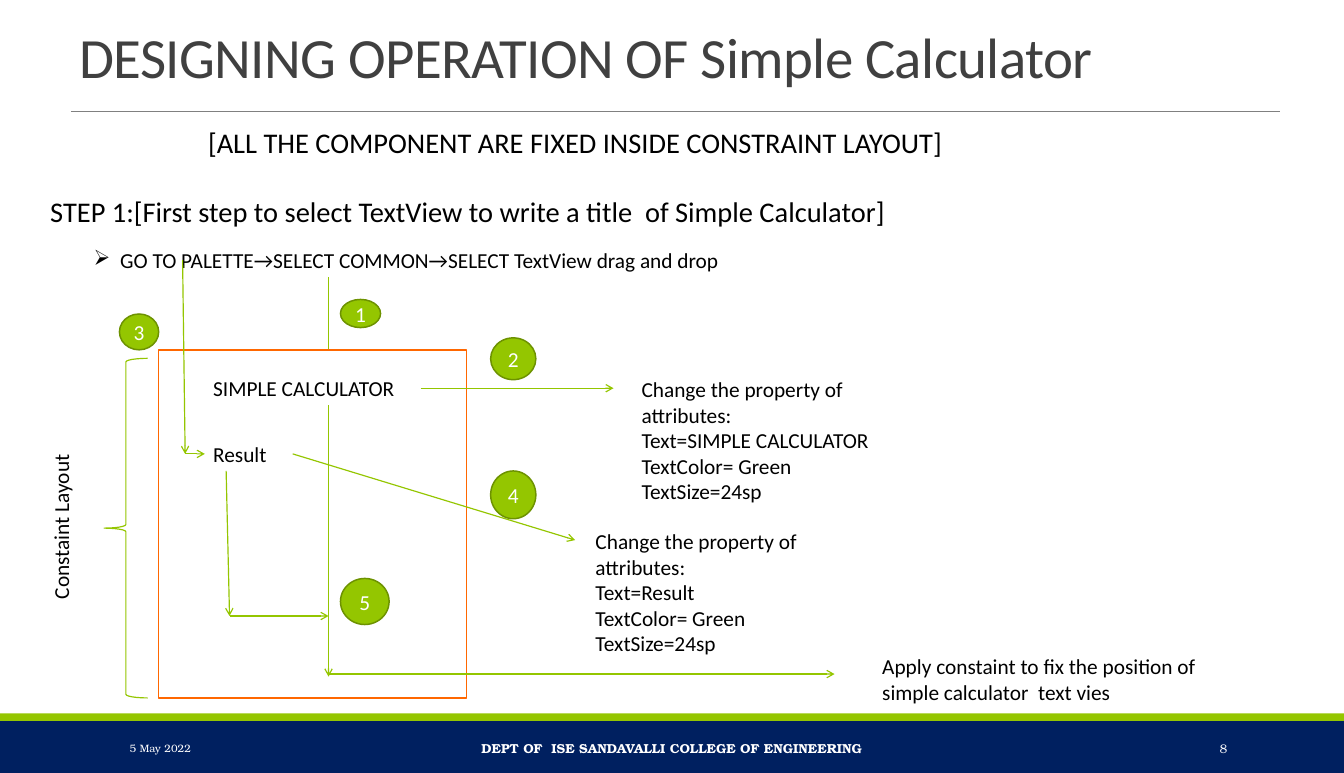
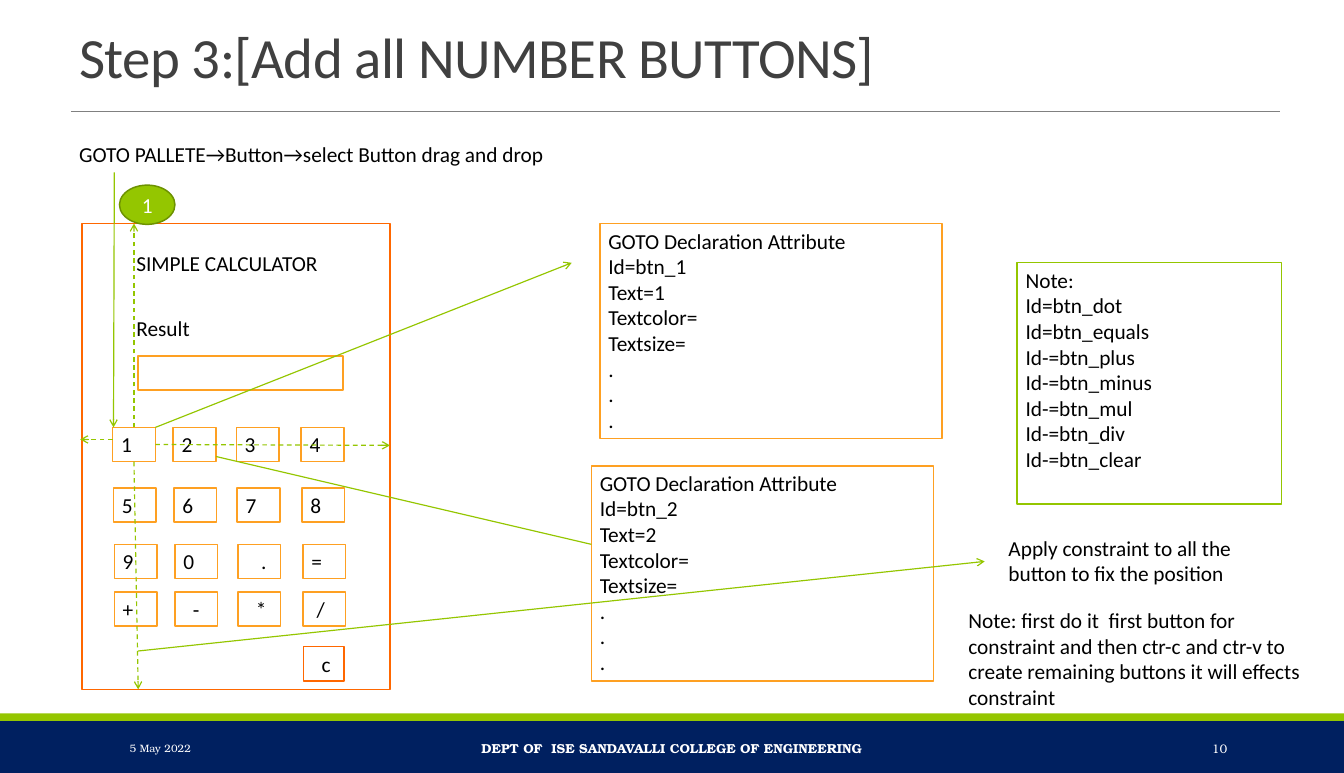
from lxml.etree import SubElement
from pptx import Presentation
from pptx.dml.color import RGBColor
from pptx.enum.dml import MSO_LINE
from pptx.enum.shapes import MSO_CONNECTOR, MSO_SHAPE
from pptx.enum.text import MSO_ANCHOR, PP_ALIGN
from pptx.oxml.ns import qn
from pptx.util import Pt

PX = 9144  # 100 px to the inch
WIDTH, HEIGHT = 1575, 906
BODY_FONT, FOOTER_FONT = "Calibri", "TeX Gyre Bonum"
COLORS = {
    "navy": "002060", "green": "94C600", "dark green": "6D9200", "gray": "808080",
    "title": "404040", "black": "000000", "white": "FFFFFF",
    "orange": "FF6700", "amber": "FEA022",
}


def add_text(slide, box, text="", shape=None, fill=None, outline=None, size=18,
             color="black", font=BODY_FONT, bold=False, align=PP_ALIGN.LEFT,
             anchor=MSO_ANCHOR.TOP, wrap=True, indent=0, line_spacing=None,
             tracking=None, bullet=None, vert=None):
    """Add a text box, or a preset shape with text; each line is a paragraph."""
    place = [n * PX for n in box]
    if shape is None:
        item = slide.shapes.add_textbox(*place)
    else:
        item = slide.shapes.add_shape(shape, *place)
        item.shadow.inherit = False
    if fill:
        item.fill.solid()
        item.fill.fore_color.rgb = RGBColor.from_string(COLORS[fill])
    else:
        item.fill.background()
    if outline:
        line_color, line_width = outline
        item.line.color.rgb = RGBColor.from_string(COLORS[line_color])
        item.line.width = Pt(line_width)
    else:
        item.line.fill.background()
    if not text:
        return item

    frame = item.text_frame
    frame.word_wrap = wrap
    frame.vertical_anchor = anchor
    frame.margin_left = (10 + indent) * PX
    if vert:
        frame._txBody.bodyPr.set("vert", vert)
    frame.text = text
    for paragraph in frame.paragraphs:
        paragraph.alignment = align
        if line_spacing:
            paragraph.line_spacing = line_spacing
        if bullet:
            properties = paragraph._p.get_or_add_pPr()
            properties.set("marL", str(31 * PX))
            properties.set("indent", str(-31 * PX))
            SubElement(properties, qn("a:buChar")).set("char", bullet)
        for run in paragraph.runs:
            run.font.name, run.font.size, run.font.bold = font, Pt(size), bold
            run.font.color.rgb = RGBColor.from_string(COLORS[color])
            if tracking:
                run._r.get_or_add_rPr().set("spc", str(tracking))
    return item


def add_line(slide, start, end, color="green", width=1, arrow=True, dash=False,
             begin_at=None, end_at=None):
    """Draw a straight line; begin_at and end_at are (shape, side) to join."""
    line = slide.shapes.add_connector(
        MSO_CONNECTOR.STRAIGHT, *[n * PX for n in (*start, *end)])
    if begin_at:
        line.begin_connect(*begin_at)
    if end_at:
        line.end_connect(*end_at)
    line.line.color.rgb = RGBColor.from_string(COLORS[color])
    line.line.width = Pt(width)
    if dash:
        line.line.dash_style = MSO_LINE.DASH
    if arrow:
        SubElement(line.line._get_or_add_ln(), qn("a:tailEnd")).set("type", "arrow")
    SubElement(line._element.spPr, qn("a:effectLst"))


prs = Presentation()
prs.slide_width, prs.slide_height = WIDTH * PX, HEIGHT * PX

# Shared looks
BADGE = dict(shape=MSO_SHAPE.OVAL, fill="green", outline=("dark green", 1.25),
             color="white", align=PP_ALIGN.CENTER, anchor=MSO_ANCHOR.MIDDLE, wrap=False)
SCREEN = dict(shape=MSO_SHAPE.RECTANGLE, fill="white", outline=("orange", 1.25))
PANEL = dict(SCREEN, outline=("amber", 1.25))
FOOTER = dict(font=FOOTER_FONT, color="white", anchor=MSO_ANCHOR.MIDDLE)

# Bands, title rule, footer and title on both slides
slides = []
for title, number in [("DESIGNING OPERATION OF Simple Calculator", "8"),
                      ("Step 3:[Add all NUMBER BUTTONS]", "10")]:
    slide = prs.slides.add_slide(prs.slide_layouts[6])
    add_text(slide, (0, 845, WIDTH, 61), shape=MSO_SHAPE.RECTANGLE, fill="navy")
    add_text(slide, (0, 836, WIDTH, 9), shape=MSO_SHAPE.RECTANGLE, fill="green")
    add_line(slide, (83, 131), (1500, 131), color="gray", width=0.5, arrow=False)
    add_text(slide, (142, 853, 319, 48), "5 May 2022", size=9, **FOOTER)
    add_text(slide, (476, 853, 623, 48), "DEPT OF  ISE SANDAVALLI COLLEGE OF ENGINEERING",
             size=11, bold=True, align=PP_ALIGN.CENTER, **FOOTER)
    add_text(slide, (1279, 853, 169, 48), number, size=10.5, align=PP_ALIGN.RIGHT, **FOOTER)
    add_text(slide, (83, 15, 1249, 95), title, size=48, color="title",
             anchor=MSO_ANCHOR.BOTTOM, line_spacing=0.85, tracking=-50)
    slides.append(slide)
design, buttons = slides

# Design slide: headings
add_text(design, (76, 142, 1196, 50),
         "[ALL THE COMPONENT ARE FIXED INSIDE CONSTRAINT LAYOUT]",
         size=24, align=PP_ALIGN.CENTER)
add_text(design, (49, 222, 1318, 50),
         "STEP 1:[First step to select TextView to write a title  of Simple Calculator]", size=24)
add_text(design, (100, 285, 907, 40),
         "GO TO PALETTE→SELECT COMMON→SELECT TextView drag and drop", bullet="➢")

# Design slide: calculator screen, over the arrow that drops into it
add_line(design, (385, 325), (385, 444))
add_text(design, (186, 410, 361, 408), **SCREEN)
screen_title = add_text(design, (240, 435, 253, 40), "SIMPLE CALCULATOR")
result = add_text(design, (240, 512, 206, 40), "Result")
add_text(design, (122, 420, 51, 398), shape=MSO_SHAPE.LEFT_BRACE, outline=("green", 1))
add_text(design, (51, 483, 50, 229), "Constaint Layout", vert="vert270")

# Design slide: arrows
add_line(design, (493, 455), (719, 455), begin_at=(screen_title, 3))
add_line(design, (217, 532), (240, 532), end_at=(result, 1))
for start, end in [((214, 305), (217, 532)), ((343, 532), (674, 633)),
                   ((385, 475), (385, 793)), ((385, 790), (978, 790)),
                   ((265, 552), (269, 722)), ((269, 722), (385, 722))]:
    add_line(design, start, end)

# Design slide: step numbers
for step, box in enumerate([(399, 351, 47, 33), (575, 396, 53, 49), (140, 368, 46, 42),
                            (575, 552, 53, 56), (399, 678, 57, 54)], start=1):
    add_text(design, box, str(step), **BADGE)

# Design slide: what each step sets
for left, top, label in [(742, 436, "SIMPLE CALCULATOR"), (688, 614, "Result")]:
    add_text(design, (left, top, 336, 162),
             f"Change the property of attributes:\nText={label}\nTextColor= Green\nTextSize=24sp")
add_text(design, (1024, 761, 453, 71),
         "Apply constaint to fix the position of simple calculator  text vies")

# Buttons slide: calculator screen
add_text(buttons, (83, 161, 1174, 40), "GOTO PALLETE→Button→select Button drag and drop")
add_text(buttons, (96, 262, 361, 546), **SCREEN)
add_text(buttons, (162, 417, 240, 40), **PANEL)
add_text(buttons, (150, 288, 253, 40), "SIMPLE CALCULATOR")
add_text(buttons, (150, 365, 206, 40), "Result")

# Buttons slide: keypad
key_indents = {".": 17, "-": 11, "*": 11, "/": 6}
keys = {}
for row_left, top, labels in [(132, 501, "1234"), (133, 572, "5678"),
                              (134, 638, "90.="), (134, 694, "+-*/")]:
    for offset, label in zip((0, 71, 145, 221), labels):
        keys[label] = add_text(buttons, (row_left + offset, top, 50, 40), label,
                               indent=key_indents.get(label, 0), **PANEL)
add_text(buttons, (356, 758, 47, 40), "c", indent=11, **SCREEN)

# Buttons slide: first step
add_line(buttons, (134, 202), (133, 501))
add_text(buttons, (140, 217, 65, 46), "1", **BADGE)

# Buttons slide: attribute panels and id list
add_line(buttons, (182, 501), (670, 308))
for left, top, digit in [(703, 262, 1), (693, 546, 2)]:
    add_text(buttons, (left, top, 401, 252),
             f"GOTO Declaration Attribute\nId=btn_{digit}\nText={digit}\n"
             "Textcolor=\nTextsize=\n.\n.\n.", **PANEL)
add_line(buttons, (253, 535), (693, 638), arrow=False)
add_text(buttons, (1192, 308, 310, 283),
         "Note:\nId=btn_dot\nId=btn_equals\nId-=btn_plus\nId-=btn_minus\n"
         "Id-=btn_mul\nId-=btn_div\nId-=btn_clear",
         **dict(PANEL, outline=("green", 1.25)))

# Buttons slide: constraints of the first key
first_key = keys["1"]
add_line(buttons, (182, 521), (457, 522), dash=True, begin_at=(first_key, 3))
add_line(buttons, (157, 541), (162, 808), dash=True, begin_at=(first_key, 2))
add_line(buttons, (157, 501), (157, 262), dash=True, begin_at=(first_key, 0))
add_line(buttons, (132, 515), (94, 515), dash=True)
add_line(buttons, (162, 763), (1154, 658))
add_text(buttons, (1172, 622, 310, 71),
         "Apply constraint to all the button to fix the position")
add_text(buttons, (1125, 707, 412, 131),
         "Note: first do it  first button for constraint and then ctr-c and ctr-v "
         "to create remaining buttons it will effects constraint")

prs.save("out.pptx")
